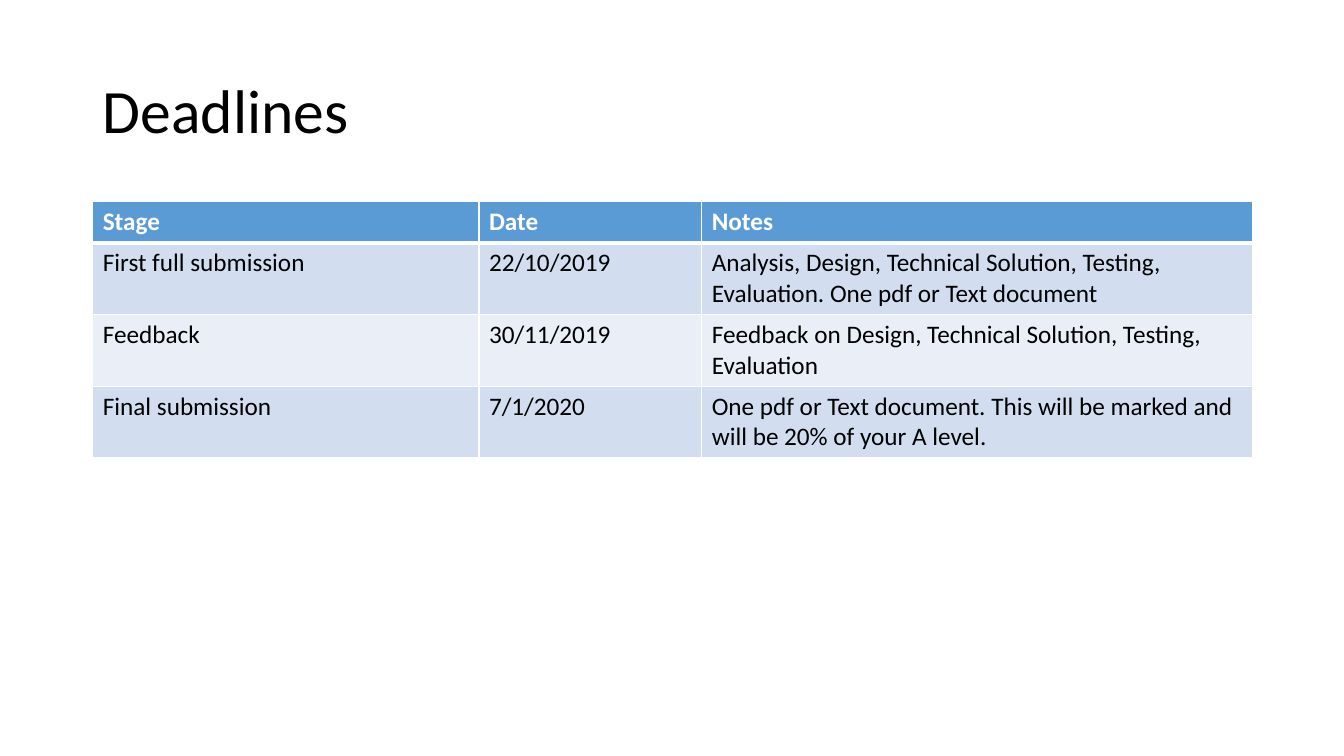
from lxml import etree
from pptx import Presentation
from pptx import util as u
from pptx.dml.color import RGBColor
from pptx.enum import text
from pptx.oxml.ns import qn

COLORS = {
    "header": "5B9BD5",
    "odd_row": "D2DEEF",
    "even_row": "EAEFF7",
    "light": "FFFFFF",
    "dark": "000000",
}
COLUMN_WIDTHS = [3.83, 2.21, 5.46]
HEADER_HEIGHT, STAGE_HEIGHT = 0.41, 0.7
DEADLINES = [
    ("Stage", "Date", "Notes"),
    ("First full submission", "22/10/2019",
     "Analysis, Design, Technical Solution, Testing, Evaluation. "
     "One pdf or Text document"),
    ("Feedback", "30/11/2019",
     "Feedback on Design, Technical Solution, Testing, Evaluation"),
    ("Final submission", "7/1/2020",
     "One pdf or Text document. This will be marked and will be 20% "
     "of your A level."),
]


class SlideBuilder:
    """Holds the style and the current slide."""

    font_name = "Calibri"

    def __init__(self, slide):
        """Keep the slide that receives the elements."""
        self.slide = slide

    def style(self, paragraph, size, color, bold=False):
        """Set the font of a whole paragraph."""
        font = paragraph.font
        font.name, font.size, font.bold = self.font_name, u.Pt(size), bold
        font.color.rgb = RGBColor.from_string(COLORS[color])

    def title(self, wording, left, top, width, height):
        """Move, fill and format the title placeholder."""
        heading = self.slide.shapes.title
        heading.left, heading.top = u.Inches(left), u.Inches(top)
        heading.width, heading.height = u.Inches(width), u.Inches(height)
        frame = heading.text_frame
        frame.text = wording
        frame.word_wrap = True
        frame.vertical_anchor = text.MSO_ANCHOR.MIDDLE
        paragraph = frame.paragraphs[0]
        paragraph.alignment = text.PP_ALIGN.LEFT
        paragraph.line_spacing = 0.9
        self.style(paragraph, 44, "dark")

    def borders(self, cell, top, bottom):
        """Draw the four cell borders, 1 pt at the sides."""
        properties = cell._tc.get_or_add_tcPr()
        sides = {"lnL": 1, "lnR": 1, "lnT": top, "lnB": bottom}
        for position, (side, points) in enumerate(sides.items()):
            line = etree.Element(qn(f"a:{side}"), w=str(u.Pt(points)))
            fill = etree.SubElement(line, qn("a:solidFill"))
            etree.SubElement(fill, qn("a:srgbClr"), val=COLORS["light"])
            properties.insert(position, line)

    def cell(self, cell, wording, row):
        """Fill one cell in the style of its row."""
        is_header = row == 0
        band = "header" if is_header else "odd_row" if row % 2 else "even_row"
        cell.text = wording
        cell.fill.solid()
        cell.fill.fore_color.rgb = RGBColor.from_string(COLORS[band])
        self.style(cell.text_frame.paragraphs[0], 18,
                   "light" if is_header else "dark", bold=is_header)
        self.borders(cell, top=3 if row == 1 else 1, bottom=3 if is_header else 1)

    def table(self, rows, widths, heights, left, top):
        """Add a banded table with a header row."""
        table = self.slide.shapes.add_table(
            len(rows), len(widths), u.Inches(left), u.Inches(top),
            u.Inches(sum(widths)), u.Inches(sum(heights))).table
        for column, width in zip(table.columns, widths):
            column.width = u.Inches(width)
        for row, (wordings, height) in enumerate(zip(rows, heights)):
            table.rows[row].height = u.Inches(height)
            for column, wording in enumerate(wordings):
                self.cell(table.cell(row, column), wording, row)


def main():
    """Build the deadlines slide and save it."""
    deck = Presentation()
    deck.slide_width, deck.slide_height = u.Inches(13.33), u.Inches(7.5)
    title_only = deck.slide_layouts[5]
    builder = SlideBuilder(deck.slides.add_slide(title_only))
    builder.title("Deadlines", 0.92, 0.4, 11.5, 1.45)
    heights = [HEADER_HEIGHT] + [STAGE_HEIGHT] * (len(DEADLINES) - 1)
    builder.table(DEADLINES, COLUMN_WIDTHS, heights, 0.92, 2)
    deck.save("out.pptx")


main()
